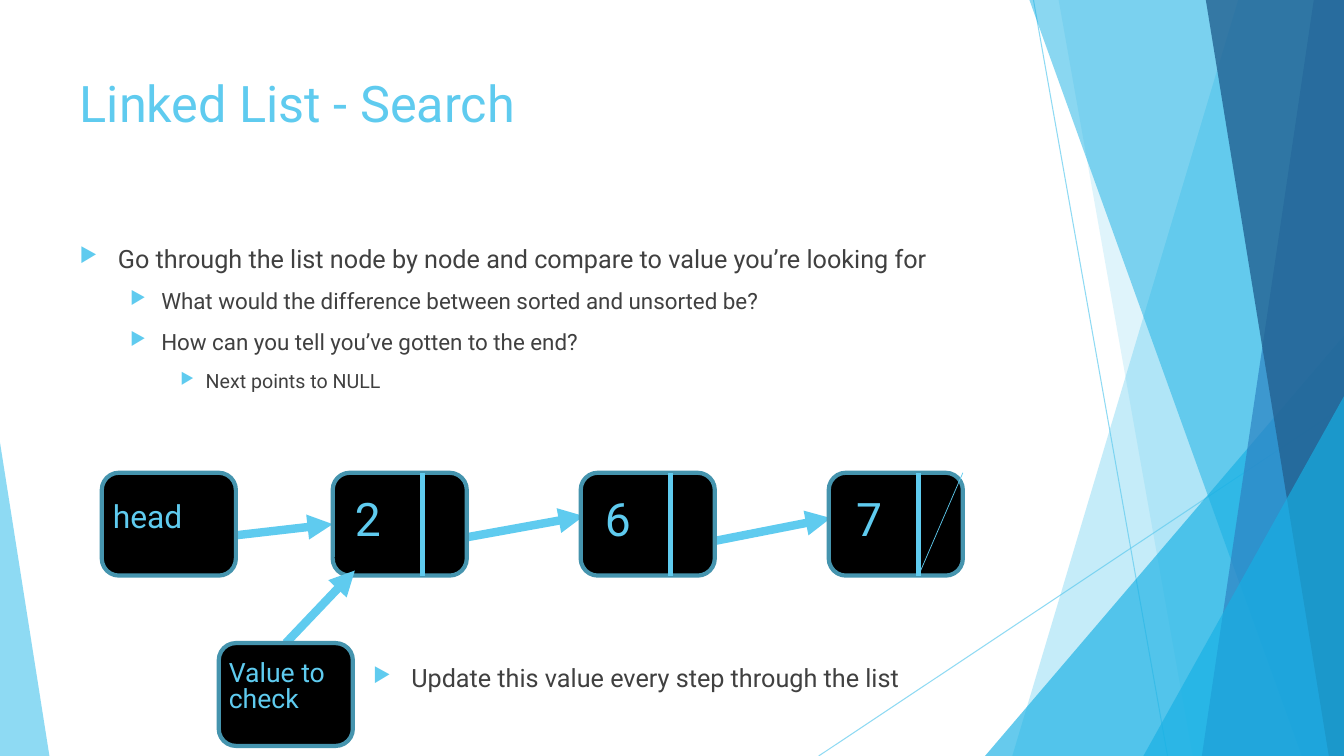
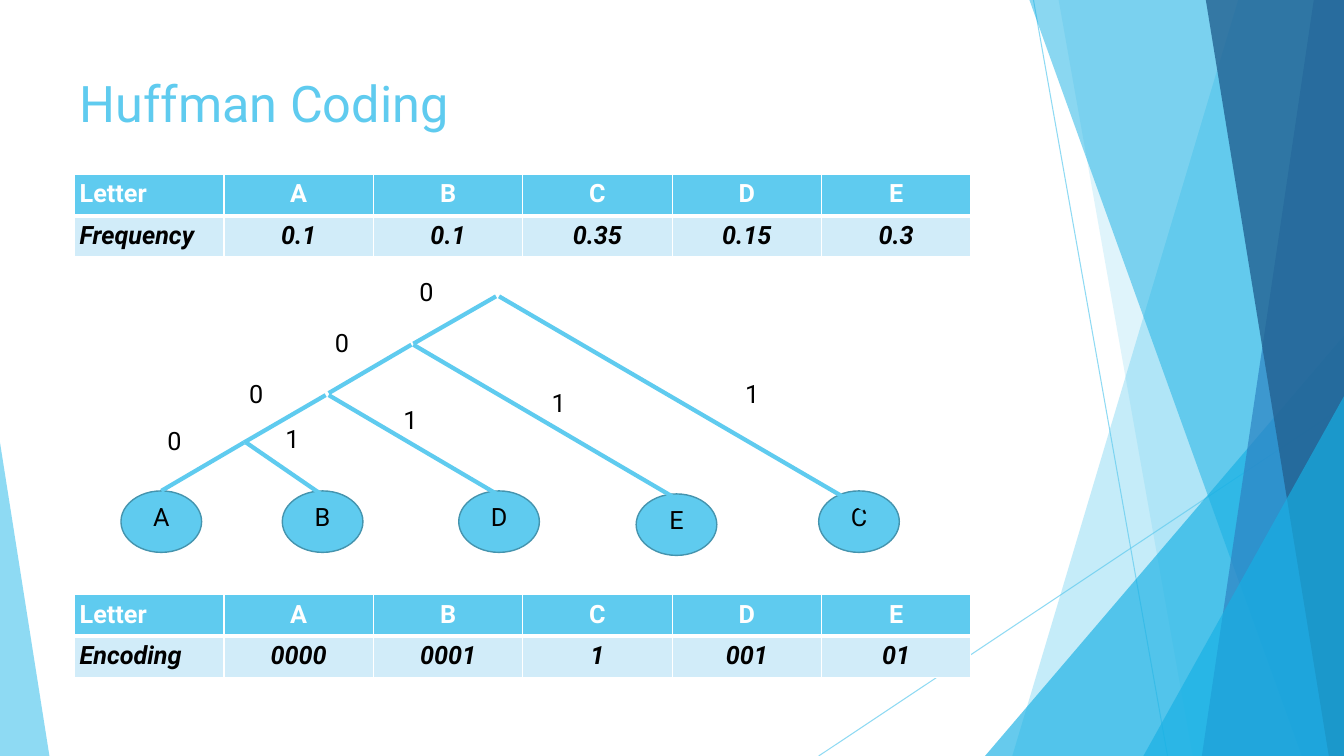
from dataclasses import dataclass
from typing import Any, NamedTuple, Optional

from lxml.etree import SubElement
from pptx import Presentation
from pptx.dml.color import RGBColor as RGB
from pptx.enum.shapes import MSO_CONNECTOR as CONN, MSO_SHAPE as SHAPE
from pptx.enum.text import MSO_ANCHOR as ANCHOR, PP_ALIGN as ALIGN
from pptx.oxml.ns import qn
from pptx.util import Inches, Pt


# Theme
@dataclass(frozen=True)
class Theme:
    font: str = "Roboto"
    sky: str = "5FCBEF"
    azure: str = "17B0E4"
    blue: str = "2E83C3"
    navy: str = "236292"
    edge: str = "4594AE"
    pale: str = "D1ECF9"
    body: str = "404040"
    black: str = "000000"
    white: str = "FFFFFF"
    title_pt: float = 36
    text_pt: float = 18
    level_pts: tuple = (18, 16, 14)
    head_pt: float = 22.7
    digit_pt: float = 33
    check_pt: float = 19


T = Theme()


# Repeated elements
class Box(NamedTuple):
    x: float
    y: float
    w: float
    h: float


class Line(NamedTuple):
    x1: float
    y1: float
    x2: float
    y2: float


class Facet(NamedTuple):
    color: str
    alpha: int
    points: list


class Node(NamedTuple):
    x: float
    digit: str
    digit_x: float


class Bullet(NamedTuple):
    text: str
    level: int = 0


class Leaf(NamedTuple):
    letter: str
    x: float
    y: float = 4.87


class Bit(NamedTuple):
    text: str
    x: float
    y: float


W, H = 13.33, 7.5
GUIDES = [Line(10.25, 0, 11.58, H), Line(W, 4.03, 8.12, H)]
FACETS = [
    Facet(T.sky, 36, [(12.28, 0), (W, 0), (W, H), (10.04, H)]),
    Facet(T.sky, 20, [(10.5, 0), (W, 0), (W, H), (11.83, H)]),
    Facet(T.azure, 66, [(9.77, H), (W, 3.33), (W, H)]),
    Facet(T.azure, 50, [(10.21, 0), (W, 0), (W, H), (12.91, H)]),
    Facet(T.blue, 70, [(13.03, 0), (W, 0), (W, H), (11.92, H)]),
    Facet(T.navy, 80, [(11.96, 0), (W, 0), (W, H), (13.18, H)]),
    Facet(T.azure, 66, [(11.34, H), (W, 3.93), (W, H)]),
    Facet(T.sky, 70, [(0, H), (0, 4.39), (0.49, H)]),
]
TITLE_BOX = Box(0.74, 0.67, 9.4, 1.44)
INSET = 0.05

# Linked list content
NODE_W, NODE_H, NODE_Y, DIVIDER_DX = 1.33, 1.02, 4.69, 0.89
NODES = [Node(3.3, "2", 3.52), Node(5.76, "6", 6.0), Node(8.22, "7", 8.49)]
HEAD_ARROW = Line(2.17, 5.33, 3.3, 5.2)
NEXT_ARROWS = [Line(4.52, 5.35, 5.79, 5.12), Line(6.97, 5.39, 8.24, 5.14)]
CHECK_ARROW = Line(2.83, 6.38, 3.52, 5.66)
BULLETS = [
    Bullet("Go through the list node by node and compare to value you’re looking for"),
    Bullet("What would the difference between sorted and unsorted be?", 1),
    Bullet("How can you tell you’ve gotten to the end?", 1),
    Bullet("Next points to NULL", 2),
]
INDENTS = [(0.38, -0.38), (0.81, -0.31), (1.25, -0.25)]

# Huffman content
LETTERS = ["Letter", "A", "B", "C", "D", "E"]
FREQUENCIES = ["Frequency", "0.1", "0.1", "0.35", "0.15", "0.3"]
ENCODINGS = ["Encoding", "0000", "0001", "1", "001", "01"]
LEAVES = [Leaf("A", 1.2), Leaf("B", 2.8), Leaf("D", 4.55), Leaf("E", 6.31, 4.9), Leaf("C", 8.12)]
BRANCHES = [
    Line(1.6, 4.87, 2.42, 4.39), Line(3.21, 4.92, 2.44, 4.39),
    Line(2.42, 4.39, 3.23, 3.92), Line(4.96, 4.92, 3.26, 3.92),
    Line(3.26, 3.9, 4.08, 3.42), Line(6.71, 4.95, 4.1, 3.42),
    Line(4.1, 3.41, 4.92, 2.94), Line(8.57, 5.05, 4.95, 2.94),
]
BITS = [
    Bit("0", 1.61, 4.17), Bit("1", 2.78, 4.15), Bit("0", 2.42, 3.7), Bit("1", 3.95, 3.96),
    Bit("0", 3.27, 3.2), Bit("1", 5.42, 3.79), Bit("0", 4.11, 2.69), Bit("1", 7.34, 3.7),
]


# Formatting helpers
def apply(obj: Any, values: dict) -> None:
    for name, value in values.items():
        setattr(obj, name, value)


def set_insets(obj: Any, inset: float) -> None:
    sides = ("left", "top", "right", "bottom")
    apply(obj, {f"margin_{side}": Inches(inset) for side in sides})


def set_alpha(sp: Any, percent: int) -> None:
    color = sp.element.find(".//" + qn("a:srgbClr"))
    SubElement(color, qn("a:alpha"), val=str(percent * 1000))


def write(p: Any, text: str, size: float, color: str, **style: Any) -> None:
    r = p.add_run()
    r.text = text
    apply(r.font, {"name": T.font, "size": Pt(size), **style})
    r.font.color.rgb = RGB.from_string(color)


def paint(sp: Any, fill: str, line: Optional[str] = None, width: float = 1) -> None:
    sp.shadow.inherit = False
    sp.fill.solid()
    sp.fill.fore_color.rgb = RGB.from_string(fill)
    if line:
        sp.line.color.rgb = RGB.from_string(line)
        sp.line.width = Pt(width)
    else:
        sp.line.fill.background()


def add_bullet(p: Any, level: int) -> None:
    left, hanging = INDENTS[level]
    apply(p, {"level": level, "space_before": Pt(10)})
    pPr = p._p.get_or_add_pPr()
    pPr.set("marL", str(Inches(left)))
    pPr.set("indent", str(Inches(hanging)))
    SubElement(SubElement(pPr, qn("a:buClr")), qn("a:srgbClr"), val=T.sky)
    SubElement(pPr, qn("a:buSzPct"), val="80000")
    SubElement(pPr, qn("a:buChar"), char="▶")


# Drawing helpers
def add_frame(s: Any, box: Box, inset: float = INSET) -> Any:
    tf = s.shapes.add_textbox(*map(Inches, box)).text_frame
    tf.word_wrap = True
    set_insets(tf, inset)
    return tf


def add_text(s: Any, box: Box, text: str, size: float, color: str,
             inset: float = INSET, spacing: float = 1.0) -> None:
    p = add_frame(s, box, inset).paragraphs[0]
    p.line_spacing = spacing
    write(p, text, size, color)


def add_bullets(s: Any, box: Box, bullets: list, inset: float = INSET) -> None:
    tf = add_frame(s, box, inset)
    for i, bullet in enumerate(bullets):
        p = tf.add_paragraph() if i else tf.paragraphs[0]
        add_bullet(p, bullet.level)
        write(p, bullet.text, T.level_pts[bullet.level], T.body)


def add_line(s: Any, line: Line, width: float, arrow: bool = False) -> Any:
    cxn = s.shapes.add_connector(CONN.STRAIGHT, *map(Inches, line))
    cxn.line.color.rgb = RGB.from_string(T.sky)
    cxn.line.width = Pt(width)
    if arrow:
        SubElement(cxn.line._get_or_add_ln(), qn("a:tailEnd"), type="triangle")
    SubElement(cxn.element.spPr, qn("a:effectLst"))
    return cxn


def add_facet(s: Any, facet: Facet) -> None:
    start, *rest = [(Inches(x), Inches(y)) for x, y in facet.points]
    builder = s.shapes.build_freeform(*start)
    builder.add_line_segments(rest, close=True)
    sp = builder.convert_to_shape()
    paint(sp, facet.color)
    set_alpha(sp, facet.alpha)


def add_card(s: Any, x: float, y: float) -> Any:
    sp = s.shapes.add_shape(SHAPE.ROUNDED_RECTANGLE, *map(Inches, (x, y, NODE_W, NODE_H)))
    paint(sp, T.black, T.edge, 3)
    return sp


def add_node(s: Any, node: Node) -> Any:
    card = add_card(s, node.x, NODE_Y)
    x = node.x + DIVIDER_DX
    add_line(s, Line(x, NODE_Y + NODE_H, x, NODE_Y), 3)
    add_text(s, Box(node.digit_x, 4.93, 0.69, 0.64), node.digit, T.digit_pt, T.sky, 0, 0.9)
    return card


def add_leaf(s: Any, leaf: Leaf) -> None:
    sp = s.shapes.add_shape(SHAPE.OVAL, *map(Inches, (leaf.x, leaf.y, 0.8, 0.61)))
    paint(sp, T.sky, T.edge)
    tf = sp.text_frame
    set_insets(tf, 0)
    apply(tf, {"margin_bottom": Inches(0.1), "vertical_anchor": ANCHOR.MIDDLE})
    tf.paragraphs[0].alignment = ALIGN.CENTER
    write(tf.paragraphs[0], leaf.letter, T.text_pt, T.black)


def add_borders(cell: Any, bottom: float) -> None:
    tcPr = cell._tc.get_or_add_tcPr()
    for side, width in {"L": 1, "R": 1, "T": 1, "B": bottom}.items():
        ln = SubElement(tcPr, qn(f"a:ln{side}"), w=str(Pt(width)))
        SubElement(SubElement(ln, qn("a:solidFill")), qn("a:srgbClr"), val=T.white)


def add_code_table(s: Any, y: float, values: list) -> None:
    col_w, row_h = 8.89 / len(LETTERS), 0.41
    box = Box(0.74, y, 8.89, 2 * row_h)
    table = s.shapes.add_table(2, len(LETTERS), *map(Inches, box)).table
    for col in table.columns:
        col.width = Inches(col_w)
    for i, texts in enumerate((LETTERS, values)):
        header = i == 0
        for j, text in enumerate(texts):
            cell = table.cell(i, j)
            set_insets(cell, INSET)
            add_borders(cell, 3 if header else 1)
            cell.fill.solid()
            cell.fill.fore_color.rgb = RGB.from_string(T.sky if header else T.pale)
            p = cell.text_frame.paragraphs[0]
            p.alignment = ALIGN.CENTER if j else ALIGN.LEFT
            write(p, text, T.text_pt, T.white if header else T.black, bold=True, italic=not header)


# Shared backdrop, kept on the blank layout
def move_backdrop_to_layout(s: Any) -> None:
    layout = s.slide_layout
    for ph in list(layout.placeholders):
        layout.shapes.element.remove(ph.element)
    for guide in GUIDES:
        set_alpha(add_line(s, guide, 0.75), 70)
    for facet in FACETS:
        add_facet(s, facet)
    for sp in list(s.shapes):
        layout.shapes.element.append(sp.element)


# Slides
def draw_linked_list(s: Any) -> None:
    add_bullets(s, Box(0.74, 2.36, 9.4, 3.89), BULLETS)
    head_arrow = add_line(s, HEAD_ARROW, 6, arrow=True)
    for arrow in NEXT_ARROWS:
        add_line(s, arrow, 6, arrow=True)
    add_card(s, 1.01, NODE_Y)
    add_text(s, Box(1.12, 5, 1.33, 0.48), "head", T.head_pt, T.sky, 0, 0.8)
    cards = [add_node(s, node) for node in NODES]
    head_arrow.end_connect(cards[0], 1)
    # Slash for the null pointer
    add_line(s, Line(9.11, NODE_Y + NODE_H, 9.55, NODE_Y), 0.5)
    # Pointer to the node being checked
    check_arrow = add_line(s, CHECK_ARROW, 6, arrow=True)
    check_arrow.begin_connect(add_card(s, 2.17, 6.38), 0)
    add_text(s, Box(2.27, 6.57, 1.33, 0.7), "Value to check", T.check_pt, T.sky, 0, 0.8)
    add_bullets(s, Box(3.7, 6.57, 7.77, 0.7),
                [Bullet("Update this value every step through the list")], 0)


def draw_huffman(s: Any) -> None:
    add_code_table(s, 1.73, FREQUENCIES)
    for leaf in LEAVES:
        add_leaf(s, leaf)
    for branch in BRANCHES:
        add_line(s, branch, 3)
    for bit in BITS:
        add_text(s, Box(bit.x, bit.y, 0.42, 0.39), bit.text, T.text_pt, T.black)
    add_code_table(s, 5.9, ENCODINGS)


def main() -> None:
    prs = Presentation()
    apply(prs, {"slide_width": Inches(W), "slide_height": Inches(H)})
    pages = {"Linked List - Search": draw_linked_list, "Huffman Coding": draw_huffman}
    for i, (title, draw) in enumerate(pages.items()):
        s = prs.slides.add_slide(prs.slide_layouts[6])
        if i == 0:
            move_backdrop_to_layout(s)
        add_text(s, TITLE_BOX, title, T.title_pt, T.sky)
        draw(s)
    prs.save("out.pptx")


if __name__ == "__main__":
    main()
